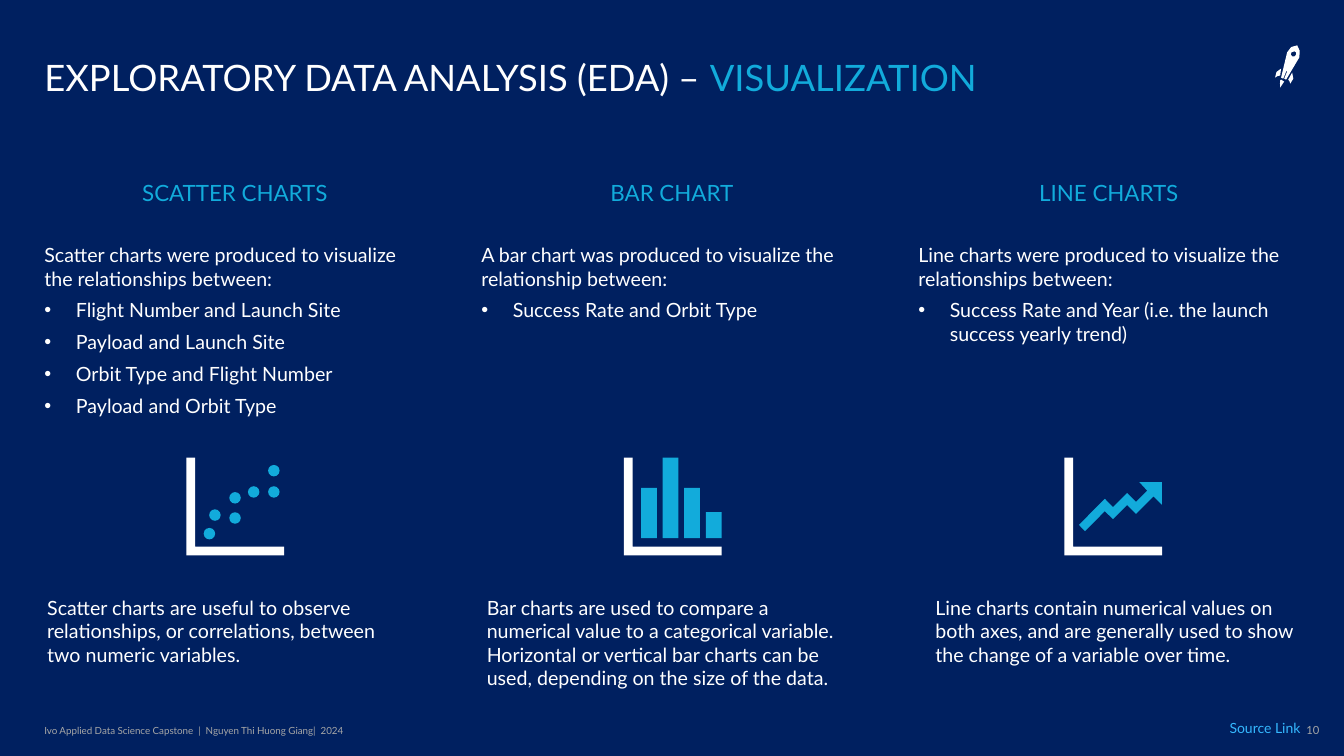
from lxml import etree
from pptx import Presentation
from pptx.dml.color import RGBColor as RGB
from pptx.enum.shapes import MSO_SHAPE as Shape
from pptx.enum.text import MSO_ANCHOR as Anchor, PP_ALIGN as Align
from pptx.oxml.ns import qn
from pptx.util import Pt

# Content
NAVY, WHITE, CYAN, GREY, SKY = "002060", "FFFFFF", "12ABDB", "A6A6A6", "35B8FF"
FONT = "Lato"
TITLE = [("EXPLORATORY DATA ANALYSIS (EDA) – ", WHITE), ("VISUALIZATION", CYAN)]
FOOT = "Ivo Applied Data Science Capstone  |  Nguyen Thi Huong Giang|  2024"
LINK, PAGE = "Source Link", "10"

# Heading, intro, bullets, note, left of icon, left and height of note
COLS = [
    ("SCATTER CHARTS",
     "Scatter charts were produced to visualize the relationships between:",
     ["Flight Number and Launch Site", "Payload and Launch Site",
      "Orbit Type and Flight Number", "Payload and Orbit Type"],
     "Scatter charts are useful to observe relationships, or correlations, "
     "between two numeric variables.", 133.2, 26.6, 58),
    ("BAR CHART",
     "A bar chart was produced to visualize the relationship between:",
     ["Success Rate and Orbit Type"],
     "Bar charts are used to compare a numerical value to a categorical "
     "variable. Horizontal or vertical bar charts can be used, depending on "
     "the size of the data.", 445.7, 340.6, 75),
    ("LINE CHARTS",
     "Line charts were produced to visualize the relationships between:",
     ["Success Rate and Year (i.e. the launch success yearly trend)"],
     "Line charts contain numerical values on both axes, and are generally "
     "used to show the change of a variable over time.", 760.3, 661, 58),
]

# Icon parts, in points from the icon's top left corner
AXES = [(0, 0), (0, 69.8), (69.8, 69.8), (69.8, 63.6), (6.2, 63.6), (6.2, 0)]
DOTS = [(16.4, 54.3), (20.3, 41), (34.7, 43.1), (34.7, 28.7),
        (48, 24.5), (62.4, 24.5), (62.4, 9.3)]
BARS = [36, 57.6, 36, 18.7]
TREND = [(53.6, 17.5), (59.2, 23.6), (51.2, 31.6), (44.8, 25.2), (34.7, 35.3),
         (28.9, 29.4), (10.4, 48), (14.7, 52.5), (28.9, 38.2), (34.7, 43.9),
         (44.8, 33.8), (51.2, 40.2), (63.7, 27.6), (69.6, 33.6), (69.6, 17.5)]

# Rocket: flame, right fin, left fin, body, window
ROCKET = [
    [(3.6, 30.2), (3.5, 27.3), (3.6, 25.2), (4.3, 24.5), (6.5, 25.9), (5, 28.1)],
    [(10.8, 27.4), (10.4, 25.8), (9.4, 24.5), (12.2, 19.4), (13, 23.8)],
    [(0, 23), (1, 19), (4.3, 16.6), (3.6, 21.6), (1.7, 22)],
    [(6.5, 23.8), (8.6, 18.7), (8.6, 18), (7.9, 18.7), (5.8, 23.8), (4.3, 23),
     (8.6, 5), (11.5, 1.2), (15.8, 0), (17.6, 4), (17.3, 8.6), (7.9, 24.5)],
    [(13.7, 4.3), (11.7, 5), (11.2, 6.5), (12.2, 7.9), (13.9, 7.9),
     (15.1, 6.5), (15, 5)],
]

prs = Presentation()
prs.slide_width, prs.slide_height = Pt(960), Pt(540)
slide = prs.slides.add_slide(prs.slide_layouts[6])
shapes = slide.shapes


def paint(fill, color):
    fill.solid()
    fill.fore_color.rgb = RGB.from_string(color)


def finish(shape, color):
    paint(shape.fill, color)
    shape.line.fill.background()
    shape.shadow.inherit = False


def text(paras, x, y, w, h, size=14, color=WHITE, align=Align.LEFT,
         anchor=Anchor.TOP, pad=(0, 0), after=0, lead=None, bullets=(),
         wrap=True):
    """Add a box; a paragraph is a string or a list of (text, colour)."""
    frame = shapes.add_textbox(Pt(x), Pt(y), Pt(w), Pt(h)).text_frame
    frame.word_wrap, frame.vertical_anchor = wrap, anchor
    frame.margin_left = frame.margin_right = Pt(pad[0])
    frame.margin_top = frame.margin_bottom = Pt(pad[1])
    items = [(p, False) for p in paras] + [(b, True) for b in bullets]
    for i, (item, dot) in enumerate(items):
        para = frame.add_paragraph() if i else frame.paragraphs[0]
        para.alignment, para.space_after = align, Pt(after)
        if lead:
            para.line_spacing = lead
        if dot:
            props = para._p.get_or_add_pPr()
            props.set("marL", str(Pt(22.5)))
            props.set("indent", str(-Pt(22.5)))
            etree.SubElement(props, qn("a:buFont")).set("typeface", "Arial")
            etree.SubElement(props, qn("a:buChar")).set("char", "•")
        for words, tint in [(item, color)] if isinstance(item, str) else item:
            run = para.add_run()
            run.text = words
            run.font.name, run.font.size = FONT, Pt(size)
            run.font.color.rgb = RGB.from_string(tint)


def outline(paths, x, y, color):
    """Draw closed outlines as one shape, to a hundredth of a point."""
    paths = [[((x + a) * 100, (y + b) * 100) for a, b in p] for p in paths]
    build = shapes.build_freeform(*paths[0][0], scale=Pt(1) / 100)
    for i, path in enumerate(paths):
        if i:
            build.move_to(*path[0])
        build.add_line_segments(path[1:], close=True)
    finish(build.convert_to_shape(), color)


def block(kind, x, y, w, h):
    finish(shapes.add_shape(kind, Pt(x), Pt(y), Pt(w), Pt(h)), CYAN)


# Background, title, rocket and footer
LEFT, STEP, WIDE = 31.7, 312.1, 272.2
paint(slide.background.fill, NAVY)
text([TITLE], LEFT, 15.1, 862, 56.2, size=26, anchor=Anchor.BOTTOM, lead=0.9)
outline(ROCKET, 910.8, 32.4, WHITE)
text([FOOT], LEFT, 513.4, 268.6, 17.3, size=7, color=GREY, anchor=Anchor.MIDDLE)
text([PAGE], 924.5, 513.4, 18, 17.3, size=8, color=GREY, align=Align.RIGHT,
     pad=(0, 3.6))
text([LINK], 871.2, 510.5, 70.6, 20.2, size=10, color=SKY, pad=(7.2, 3.6),
     wrap=False)

# Three columns
TOP = 326.9
for i, (head, intro, points, note, icon, edge, tall) in enumerate(COLS):
    x = LEFT + i * STEP
    text([head], x, 104.4, WIDE, 66.2, size=16, color=CYAN,
         align=Align.CENTER, anchor=Anchor.MIDDLE, after=6)
    text([intro], x, 173.5, WIDE, 321, after=6, bullets=points)
    outline([AXES], icon, TOP, WHITE)
    text([note], edge, 421.9, WIDE, tall, pad=(7.2, 3.6))

# Marks inside the icons
scatter, bar, line = [col[4] for col in COLS]
DOT = 8.2
for a, b in DOTS:
    block(Shape.OVAL, scatter + a - DOT / 2, TOP + b - DOT / 2, DOT, DOT)
for i, tall in enumerate(BARS):
    block(Shape.RECTANGLE, bar + 12.2 + i * 15.4, TOP + 57.6 - tall, 11.3, tall)
outline([TREND], line, TOP, CYAN)

prs.save("out.pptx")
